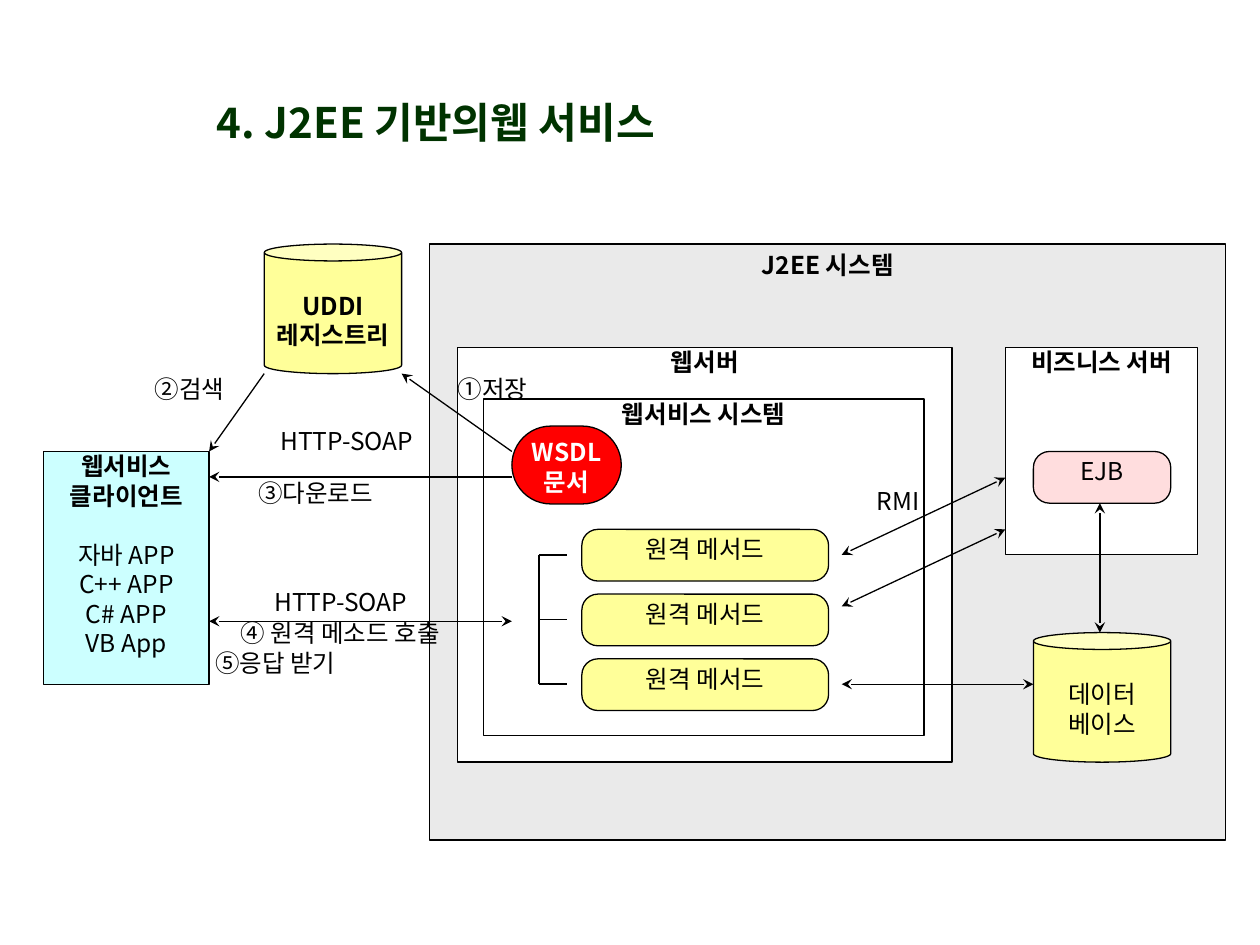
"""Builds the slide on web services based on J2EE."""
from lxml.etree import SubElement
from pptx import Presentation
from pptx.dml.color import RGBColor
from pptx.enum.shapes import MSO_CONNECTOR, MSO_SHAPE as SHAPE
from pptx.enum.text import MSO_ANCHOR as ANCHOR, PP_ALIGN as ALIGN
from pptx.oxml.ns import qn
from pptx.util import Pt

FONT = "Noto Sans CJK KR"
rgb = RGBColor.from_string


def write(tf, text, size=14, bold=False, color="000000", align=ALIGN.CENTER, before=0):
    """Write one paragraph, using the first one while it is empty."""
    p = tf.paragraphs[0] if not tf.text else tf.add_paragraph()
    p.text = text
    p.alignment = align
    p.space_before = Pt(before)
    for r in p.runs:
        r.font.name = FONT
        r.font.size = Pt(size)
        r.font.bold = bold
        r.font.color.rgb = rgb(color)
        SubElement(r._r.get_or_add_rPr(), qn("a:ea")).set("typeface", FONT)


def set_frame(tf, left=0, top=0, anchor=ANCHOR.TOP, wrap=True):
    """Set the margins, anchor and wrapping of a text frame."""
    tf.margin_left = tf.margin_right = Pt(left)
    tf.margin_top, tf.margin_bottom = Pt(top), Pt(0)
    tf.vertical_anchor = anchor
    tf.word_wrap = wrap


prs = Presentation()
prs.slide_width, prs.slide_height = Pt(720), Pt(540)
s = prs.slides.add_slide(prs.slide_layouts[5])

title = s.shapes.title
title.left, title.top, title.width, title.height = Pt(36), Pt(44.5), Pt(426), Pt(50)
set_frame(title.text_frame, left=7.2, anchor=ANCHOR.MIDDLE)
write(title.text_frame, "4. J2EE 기반의웹 서비스", size=24, bold=True, color="003300")

BLACK, WHITE, YELLOW = "000000", "FFFFFF", "FFFF99"
boxes = [
    (SHAPE.RECTANGLE, None, 245.5, 139.5, 455, 340.5, "EAEAEA", 3.6, ["J2EE 시스템"], True, BLACK),
    (SHAPE.RECTANGLE, None, 261.5, 198.5, 282.5, 237, WHITE, 0, ["웹서버"], True, BLACK),
    (SHAPE.RECTANGLE, None, 574.5, 198.5, 110, 118.5, WHITE, 0, ["비즈니스 서버"], True, BLACK),
    (SHAPE.RECTANGLE, None, 276.5, 228, 251.5, 192.5, WHITE, 0, ["웹서비스 시스템"], True, BLACK),
    (SHAPE.RECTANGLE, None, 25, 258, 94.5, 133, "CCFFFF", 0, ["웹서비스", "클라이언트"], True, BLACK),
    (SHAPE.CAN, 0.13, 151, 139.5, 78.5, 74, YELLOW, 17, ["UDDI", "레지스트리"], True, BLACK),
    (SHAPE.CAN, 0.13, 590.5, 361.5, 78.5, 74, YELLOW, 17, ["데이터", "베이스"], False, BLACK),
    (SHAPE.ROUNDED_RECTANGLE, 0.31, 590.5, 258, 78.5, 29.5, "FFDDDE", 0, ["EJB"], False, BLACK),
    (SHAPE.ROUNDED_RECTANGLE, 0.5, 292.5, 243.5, 62.5, 44.5, "FF0000", 0, ["WSDL\v문서"], True, WHITE),
]
for row in range(3):
    boxes.append((SHAPE.ROUNDED_RECTANGLE, 0.31, 332.5, 302.5 + 37 * row, 141, 29.5,
                  YELLOW, 0, ["원격 메서드"], False, BLACK))

for preset, adj, x, y, w, h, fill, top, lines, bold, color in boxes:
    sp = s.shapes.add_shape(preset, Pt(x), Pt(y), Pt(w), Pt(h))
    sp.shadow.inherit = False
    sp.fill.solid()
    sp.fill.fore_color.rgb = rgb(fill)
    sp.line.color.rgb = rgb(BLACK)
    sp.line.width = Pt(0.75)
    if adj:
        sp.adjustments[0] = adj
    tf = sp.text_frame
    set_frame(tf, top=top)
    for line in lines:
        write(tf, line, bold=bold, color=color)
    if "클라이언트" in lines:
        for i, app in enumerate(["자바 APP", "C++ APP", "C# APP", "VB App"]):
            write(tf, app, before=0 if i else 17)

HEAD, TAIL = ["a:headEnd"], ["a:tailEnd"]
BOTH = HEAD + TAIL
links = [
    (119.5, 258, 151, 213.5, 0.75, HEAD),
    (292.5, 258, 229.5, 213.5, 0.75, TAIL),
    (292.5, 272.5, 119.5, 272.5, 0.75, TAIL),
    (119.5, 355, 292.5, 355, 0.75, BOTH),
    (481, 317, 574.5, 273, 0.75, BOTH),
    (481, 346.5, 574.5, 302.5, 0.75, BOTH),
    (481, 391, 590.5, 391, 0.75, BOTH),
    (628.5, 361.5, 628.5, 287.5, 0.75, BOTH),
    (308, 317, 308, 391, 1, []),
]
links += [(308, y, 324, y, 1, []) for y in (317, 354, 391)]
for x1, y1, x2, y2, width, ends in links:
    cn = s.shapes.add_connector(MSO_CONNECTOR.STRAIGHT, Pt(x1), Pt(y1), Pt(x2), Pt(y2))
    cn.line.color.rgb = rgb(BLACK)
    cn.line.width = Pt(width)
    for end in ends:
        SubElement(cn.line._get_or_add_ln(), qn(end)).set("type", "stealth")
    SubElement(cn._element.spPr, qn("a:effectLst"))

labels = [
    ("HTTP-SOAP", 151, 243.5, 94.5, 19.5, ALIGN.CENTER),
    ("HTTP-SOAP", 147.5, 335.5, 94.5, 19.5, ALIGN.CENTER),
    ("①저장", 261.5, 213.5, 62.5, 29.5, ALIGN.JUSTIFY),
    ("②검색", 88.5, 213.5, 62.5, 29.5, ALIGN.JUSTIFY),
    ("③다운로드", 147.5, 273, 94.5, 29.5, ALIGN.JUSTIFY),
    ("④ 원격 메소드 호출", 137.5, 353, 120, 20, ALIGN.LEFT),
    ("⑤응답 받기", 123, 370, 125, 29.5, ALIGN.JUSTIFY),
    ("RMI", 501, 278, 26, 20, ALIGN.LEFT),
]
for text, x, y, w, h, align in labels:
    tf = s.shapes.add_textbox(Pt(x), Pt(y), Pt(w), Pt(h)).text_frame
    set_frame(tf, wrap=align != ALIGN.LEFT)
    write(tf, text, align=align)

prs.save("out.pptx")
